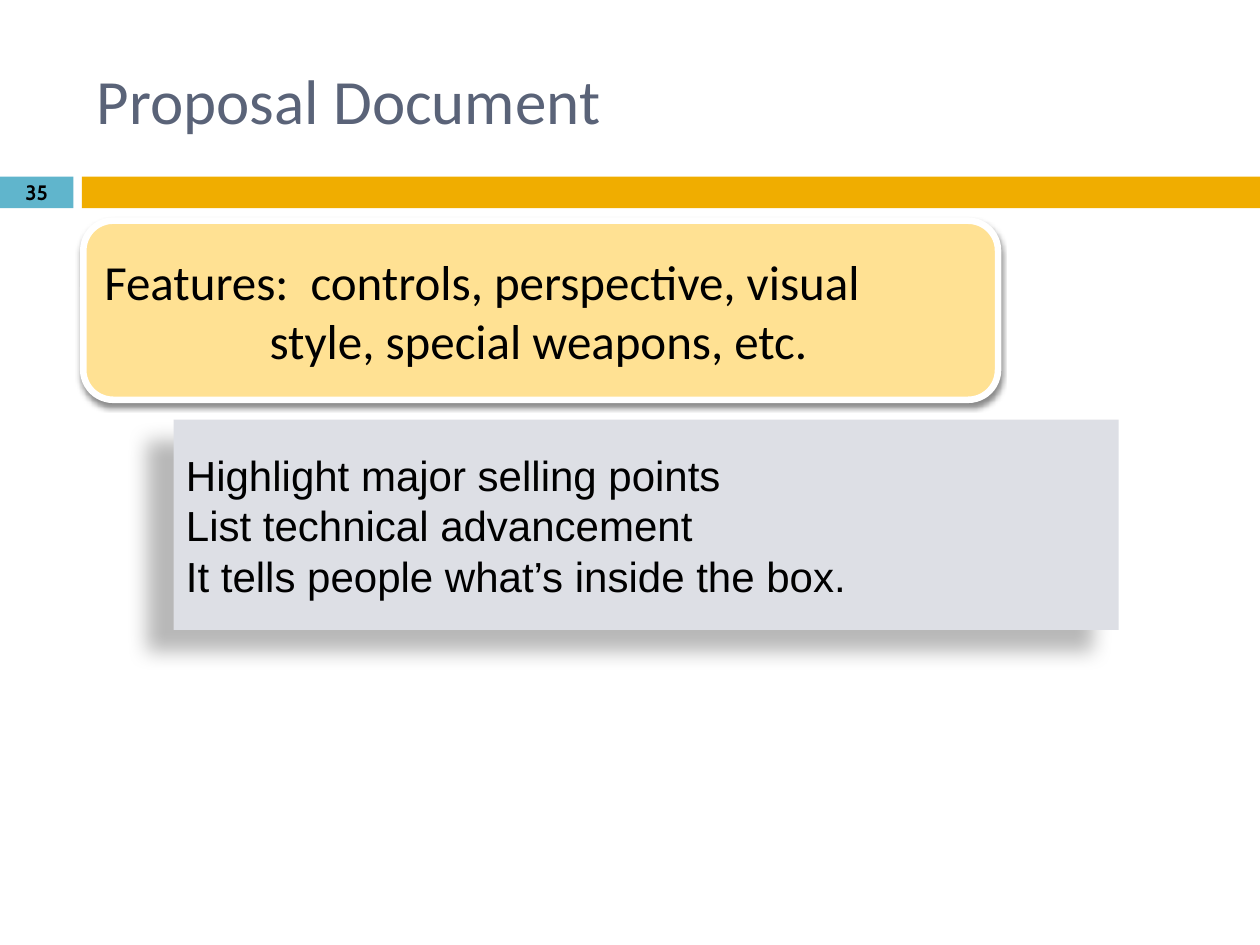
from lxml.etree import SubElement
from pptx import Presentation
from pptx.dml.color import RGBColor as RGB
from pptx.enum.shapes import MSO_SHAPE as Kind
from pptx.enum.text import MSO_ANCHOR as Anchor, PP_ALIGN as Align
from pptx.oxml.ns import qn
from pptx.util import Cm, Pt

HUES = {
    "teal": "60B5CC",
    "gold": "F0AD00",
    "slate": "5A6378",
    "cream": "FFE193",
    "mist": "DDDFE5",
    "white": "FFFFFF",
    "black": "000000",
}


def add_box(kind, place, hue, shade=None):
    """Add a filled shape; shade is opacity %, blur pt, distance pt, angle."""
    box = slide.shapes.add_shape(kind, *map(Cm, place))
    box.fill.solid()
    box.fill.fore_color.rgb = RGB.from_string(HUES[hue])
    box.line.fill.background()
    box.shadow.inherit = False
    if shade:
        alpha, blur, dist, angle = shade
        effects = box._element.spPr.find(qn("a:effectLst"))
        outer = SubElement(effects, qn("a:outerShdw"), blurRad=str(Pt(blur)),
                           dist=str(Pt(dist)), dir=str(angle * 60000),
                           algn="ctr", rotWithShape="0")
        color = SubElement(outer, qn("a:srgbClr"), val=HUES["black"])
        SubElement(color, qn("a:alpha"), val=str(alpha * 1000))
    return box


def write(shape, lines, font, size, hue="black", align=Align.LEFT, bold=False):
    frame = shape.text_frame
    frame.word_wrap = True
    frame.vertical_anchor = Anchor.MIDDLE
    frame.text = "\n".join(lines)
    for para in frame.paragraphs:
        para.alignment = align
        para.font.name = font
        para.font.size = Pt(size)
        para.font.bold = bold
        para.font.color.rgb = RGB.from_string(HUES[hue])


deck = Presentation()
deck.slide_width, deck.slide_height = Cm(25.4), Cm(19.05)
slide = deck.slides.add_slide(deck.slide_layouts[5])

# Heading and the band below it
title = slide.shapes.title
title.left, title.top, title.width, title.height = map(
    Cm, (1.7, 0.64, 22.66, 2.74))
write(title, ["Proposal Document"], "Calibri", 36, "slate")

add_box(Kind.RECTANGLE, (0, 3.56, 1.48, 0.64), "teal")
add_box(Kind.RECTANGLE, (1.65, 3.56, 23.75, 0.64), "gold")

number = slide.shapes.add_textbox(*map(Cm, (0, 3.53, 1.48, 0.69)))
write(number, ["35"], "Cabin", 11.9, align=Align.CENTER, bold=True)

# Features card, with its second line indented
card = add_box(Kind.ROUNDED_RECTANGLE, (1.68, 4.45, 18.44, 3.61), "cream",
               (45, 3, 2.4, 90))
card.line.color.rgb = RGB.from_string(HUES["white"])
card.line.width = Pt(3.75)
write(card, ["Features:  controls, perspective, visual",
             "style, special weapons, etc."], "Calibri", 28)
card.text_frame.paragraphs[1]._p.get_or_add_pPr().set("marL", str(Cm(3.33)))

# Details
panel = add_box(Kind.RECTANGLE, (3.5, 8.46, 19.05, 4.24), "mist",
                (28, 11.8, 19.7, 141))
write(panel, ["Highlight major selling points",
              "List technical advancement",
              "It tells people what’s inside the box."], "Arial", 24)

deck.save("out.pptx")
